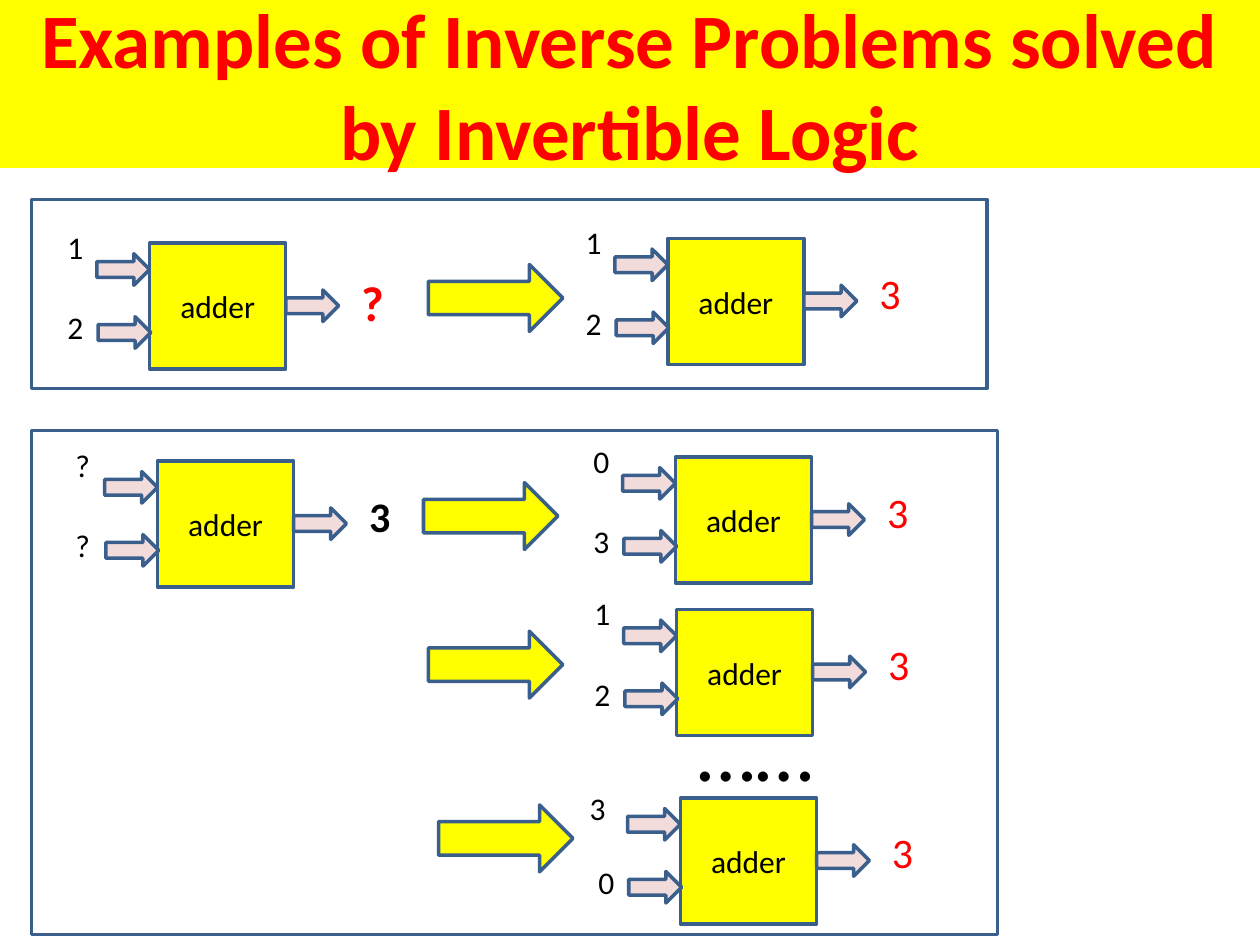
from dataclasses import dataclass

from pptx import Presentation
from pptx.dml.color import RGBColor
from pptx.enum import shapes, text
from pptx.util import Pt


@dataclass(frozen=True)
class Theme:
    """Colours, type sizes and font of the slide."""
    font: str = "Calibri"
    yellow: str = "FFFF00"
    pink: str = "F2DCDB"
    outline: str = "3A5F8C"
    red: str = "FF0000"
    black: str = "000000"
    title: int = 44
    label: int = 18
    result: int = 24
    unknown: int = 28
    dots: int = 48


THEME = Theme()
RECT = shapes.MSO_SHAPE.RECTANGLE
ARROW = shapes.MSO_SHAPE.RIGHT_ARROW
ADDER_SIZE = (77.8, 72)
SMALL_ARROW = (30.2, 18)
BIG_ARROW = (76.8, 38.2)
SOLVED = dict(size=THEME.result, color=THEME.red)


def apply_format(target, values):
    """Set each named attribute of the target."""
    for name, value in values.items():
        setattr(target, name, value)


def write(frame, words, size=THEME.label, color=THEME.black, bold=False,
          align=text.PP_ALIGN.LEFT, anchor=text.MSO_ANCHOR.TOP,
          fit=text.MSO_AUTO_SIZE.NONE):
    """Put one formatted paragraph into a text frame."""
    apply_format(frame, dict(text=words, word_wrap=True, auto_size=fit,
                             vertical_anchor=anchor))
    paragraph = frame.paragraphs[0]
    paragraph.alignment = align
    font = paragraph.runs[0].font
    apply_format(font, dict(name=THEME.font, size=Pt(size), bold=bold))
    font.color.rgb = RGBColor.from_string(color)


def add_outlined(slide, kind, box, fill=None):
    """Add an outlined preset shape, hollow unless a fill is given."""
    outlined = slide.shapes.add_shape(kind, *map(Pt, box))
    outlined.shadow.inherit = False
    outlined.line.color.rgb = RGBColor.from_string(THEME.outline)
    outlined.line.width = Pt(2)
    if fill:
        outlined.fill.solid()
        outlined.fill.fore_color.rgb = RGBColor.from_string(fill)
    else:
        outlined.fill.background()
    return outlined


def add_label(slide, box, words, **style):
    """Add a text box holding one short label."""
    label = slide.shapes.add_textbox(*map(Pt, box))
    write(label.text_frame, words, fit=text.MSO_AUTO_SIZE.SHAPE_TO_FIT_TEXT,
          **style)


def add_title(slide, box, words):
    """Place the title band."""
    title = slide.shapes.title
    apply_format(title, dict(zip(("left", "top", "width", "height"),
                                 map(Pt, box))))
    title.fill.solid()
    title.fill.fore_color.rgb = RGBColor.from_string(THEME.yellow)
    write(title.text_frame, words, THEME.title, THEME.red, True,
          text.PP_ALIGN.CENTER, text.MSO_ANCHOR.MIDDLE)


def add_adder(slide, box, inputs, output, style, first_shift=(0, 0)):
    """Draw an adder body with two inputs and one output around it."""
    left, top, width, height = box
    adder = add_outlined(slide, RECT, box, THEME.yellow)
    write(adder.text_frame, "adder", align=text.PP_ALIGN.CENTER,
          anchor=text.MSO_ANCHOR.MIDDLE)
    for dx, dy in ((-30.2, 6), (-29.5, 42), (width, 26.7)):
        add_outlined(slide, ARROW, (left + dx, top + dy, *SMALL_ARROW),
                     THEME.pink)
    shifts = (first_shift, (0, 0))
    for words, dy, (dx, extra) in zip(inputs, (-12.2, 33.7), shifts):
        add_label(slide, (left - 54 + dx, top + dy + extra, 23.8, 29), words)
    output_height = style["size"] * 1.22 + 7.2
    add_label(slide, (left + 113.8, top + 13, 23.8, output_height), output,
              **style)


def add_problem(slide, box, query, solutions):
    """Frame one query adder and the solved adders its arrows lead to."""
    left, top = box[:2]
    place, inputs, output, style = query
    add_adder(slide, (left + place[0], top + place[1], *ADDER_SIZE),
              inputs, output, style)
    for arrow, place, inputs, shift in solutions:
        add_outlined(slide, ARROW,
                     (left + arrow[0], top + arrow[1], *BIG_ARROW),
                     THEME.yellow)
        add_adder(slide, (left + place[0], top + place[1], *ADDER_SIZE),
                  inputs, "3", SOLVED, shift)
    add_outlined(slide, RECT, box)


def main():
    """Build and save the slide."""
    deck = Presentation()
    deck.slide_width, deck.slide_height = Pt(720), Pt(540)
    slide = deck.slides.add_slide(deck.slide_layouts[5])
    add_title(slide, (0, 0, 720, 96),
              "Examples of Inverse Problems solved by Invertible Logic")
    unknown = dict(size=THEME.unknown, color=THEME.red, bold=True)
    add_problem(slide, (18, 114, 546, 108),
                ((67.5, 25), "12", "?", unknown),
                [((226.8, 37.2), (363.6, 22.3), "12", (0, 0))])
    given = dict(size=THEME.result, bold=True)
    add_problem(slide, (18, 246, 552, 288),
                ((72, 17.5), "??", "3", given),
                [((224, 29.8), (368, 15.2), "03", (0, 0)),
                 ((226.8, 114.7), (368.6, 102.3), "12", (0, 0)),
                 ((232.6, 214), (370.8, 210), "30", (-5, 3.4))])
    add_label(slide, (391.7, 395.3, 90, 65.5), "……", size=THEME.dots)
    deck.save("out.pptx")


if __name__ == "__main__":
    main()
